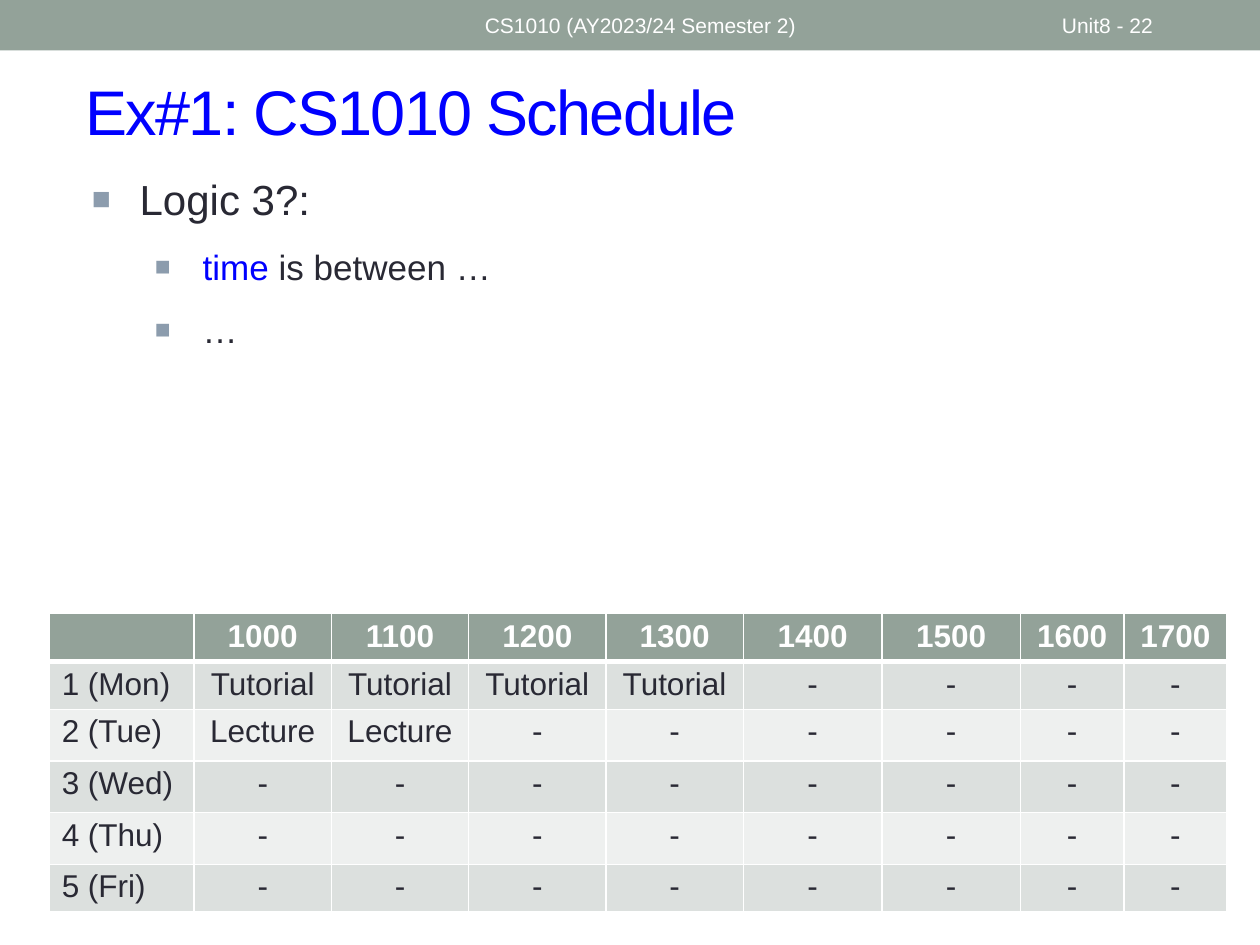
import dataclasses
import typing

import lxml.etree
import pptx
import pptx.dml.color
import pptx.enum.shapes
import pptx.enum.text
import pptx.oxml.ns
import pptx.util

Inches = pptx.util.Inches
Pt = pptx.util.Pt
Align = pptx.enum.text.PP_ALIGN
Anchor = pptx.enum.text.MSO_ANCHOR
qn = pptx.oxml.ns.qn


@dataclasses.dataclass(frozen=True)
class Theme:
    font: str = "Arial"
    bar: str = "93A299"
    ink: str = "292934"
    blue: str = "0000FF"
    white: str = "FFFFFF"
    mark: str = "8C9CAD"
    bands: tuple[str, str] = ("DCE0DE", "EEF0EF")
    title: int = 36
    lead: int = 24
    point: int = 20
    cell: int = 18
    note: int = 12


class Box(typing.NamedTuple):
    left: float
    top: float
    width: float
    height: float

    def lengths(self) -> list[int]:
        return [Inches(side) for side in self]


class Note(typing.NamedTuple):
    text: str
    box: Box


class Point(typing.NamedTuple):
    level: int
    indent: float
    size: int
    spans: tuple[tuple[str, str], ...]


THEME = Theme()
BAR = Box(0, 0, 10, 0.4)
TITLE = Note("Ex#1: CS1010 Schedule", Box(0.58, 0.5, 9.19, 0.75))
NOTES = (
    Note("Unit8 - 22", Box(8.33, 0.02, 1.17, 0.36)),
    Note("CS1010 (AY2023/24 Semester 2)", Box(3.75, 0.02, 4.5, 0.36)),
)
LIST = Box(0.63, 1.33, 9.15, 1.45)
HANG = 0.38
POINTS = (
    Point(0, 0.38, THEME.lead, (("Logic 3?:", THEME.ink),)),
    Point(1, 0.88, THEME.point,
          (("time", THEME.blue), (" is between …", THEME.ink))),
    Point(1, 0.88, THEME.point, (("…", THEME.ink),)),
)
GRID = Box(0.39, 4.87, 9.38, 2.37)
COLS = (1.15, 1.09, 1.09, 1.09, 1.09, 1.1, 1.1, 0.82, 0.82)
ROWS = (0.38, 0.38, 0.41, 0.41, 0.41, 0.38)
HOURS = [str(hour) for hour in range(1000, 1800, 100)]
DAYS = {
    "1 (Mon)": ["Tutorial"] * 4,
    "2 (Tue)": ["Lecture"] * 2,
    "3 (Wed)": [],
    "4 (Thu)": [],
    "5 (Fri)": [],
}


def rgb(code: str) -> pptx.dml.color.RGBColor:
    return pptx.dml.color.RGBColor.from_string(code)


def style(run, size: int, color: str, bold: bool = False) -> None:
    run.font.name = THEME.font
    run.font.size = Pt(size)
    run.font.bold = bold
    run.font.color.rgb = rgb(color)


def draw_bar(slide) -> None:
    bar = slide.shapes.add_shape(
        pptx.enum.shapes.MSO_SHAPE.RECTANGLE, *BAR.lengths())
    bar.shadow.inherit = False
    bar.fill.solid()
    bar.fill.fore_color.rgb = rgb(THEME.bar)
    bar.line.fill.background()


def draw_title(slide, note: Note) -> None:
    shape = slide.shapes.title
    shape.left, shape.top, shape.width, shape.height = note.box.lengths()
    frame = shape.text_frame
    frame.text = note.text
    frame.vertical_anchor = Anchor.MIDDLE
    line = frame.paragraphs[0]
    line.alignment = Align.LEFT
    run = line.runs[0]
    style(run, THEME.title, THEME.blue)
    run._r.get_or_add_rPr().set("spc", "-100")


def draw_note(slide, note: Note) -> None:
    frame = slide.shapes.add_textbox(*note.box.lengths()).text_frame
    frame.word_wrap = True
    frame.vertical_anchor = Anchor.MIDDLE
    frame.text = note.text
    style(frame.paragraphs[0].runs[0], THEME.note, THEME.white)


def add_mark(line, indent: float) -> None:
    """Give a paragraph a hanging square bullet."""
    props = line._p.get_or_add_pPr()
    props.set("marL", str(Inches(indent)))
    props.set("indent", str(-Inches(HANG)))
    color = lxml.etree.SubElement(props, qn("a:buClr"))
    lxml.etree.SubElement(color, qn("a:srgbClr"), val=THEME.mark)
    lxml.etree.SubElement(props, qn("a:buSzPct"), val="75000")
    lxml.etree.SubElement(props, qn("a:buFont"), typeface=THEME.font)
    lxml.etree.SubElement(props, qn("a:buChar"), char="■")


def draw_list(slide, points: tuple[Point, ...]) -> None:
    frame = slide.shapes.add_textbox(*LIST.lengths()).text_frame
    frame.word_wrap = True
    for i, point in enumerate(points):
        line = frame.add_paragraph() if i else frame.paragraphs[0]
        line.level = point.level
        line.space_before = Pt(12)
        add_mark(line, point.indent)
        for text, color in point.spans:
            run = line.add_run()
            run.text = text
            style(run, point.size, color)


def add_edges(cell, head: float, base: float) -> None:
    """Draw white cell borders with the given top and bottom widths."""
    props = cell._tc.get_or_add_tcPr()
    for side, width in (("L", 1), ("R", 1), ("T", head), ("B", base)):
        edge = lxml.etree.SubElement(
            props, qn(f"a:ln{side}"), w=str(Pt(width)))
        fill = lxml.etree.SubElement(edge, qn("a:solidFill"))
        lxml.etree.SubElement(fill, qn("a:srgbClr"), val=THEME.white)


def fill_cell(cell, text: str, row: int, col: int) -> None:
    head = row == 0
    # The thick rule lies between the header and the first day
    add_edges(cell, 3 if row == 1 else 1, 3 if head else 1)
    cell.fill.solid()
    cell.fill.fore_color.rgb = rgb(
        THEME.bar if head else THEME.bands[(row - 1) % 2])
    cell.margin_top = cell.margin_bottom = Inches(0.04)
    cell.text = text
    line = cell.text_frame.paragraphs[0]
    line.alignment = Align.CENTER if col else Align.LEFT
    line.font.size = Pt(THEME.cell)
    for run in line.runs:
        style(run, THEME.cell, THEME.white if head else THEME.ink, head)


def draw_grid(slide) -> None:
    rows = [["", *HOURS]]
    for day, slots in DAYS.items():
        rows.append([day, *slots, *["-"] * (len(HOURS) - len(slots))])
    table = slide.shapes.add_table(
        len(ROWS), len(COLS), *GRID.lengths()).table
    for col, width in zip(table.columns, COLS):
        col.width = Inches(width)
    for row, height in zip(table.rows, ROWS):
        row.height = Inches(height)
    for r, texts in enumerate(rows):
        for c, text in enumerate(texts):
            fill_cell(table.cell(r, c), text, r, c)


def main() -> None:
    deck = pptx.Presentation()
    deck.slide_width, deck.slide_height = Inches(10), Inches(7.5)
    slide = deck.slides.add_slide(deck.slide_layouts[5])
    # Header band and title
    draw_bar(slide)
    draw_title(slide, TITLE)
    # Body
    draw_list(slide, POINTS)
    draw_grid(slide)
    # Header text
    for note in NOTES:
        draw_note(slide, note)
    deck.save("out.pptx")


if __name__ == "__main__":
    main()
